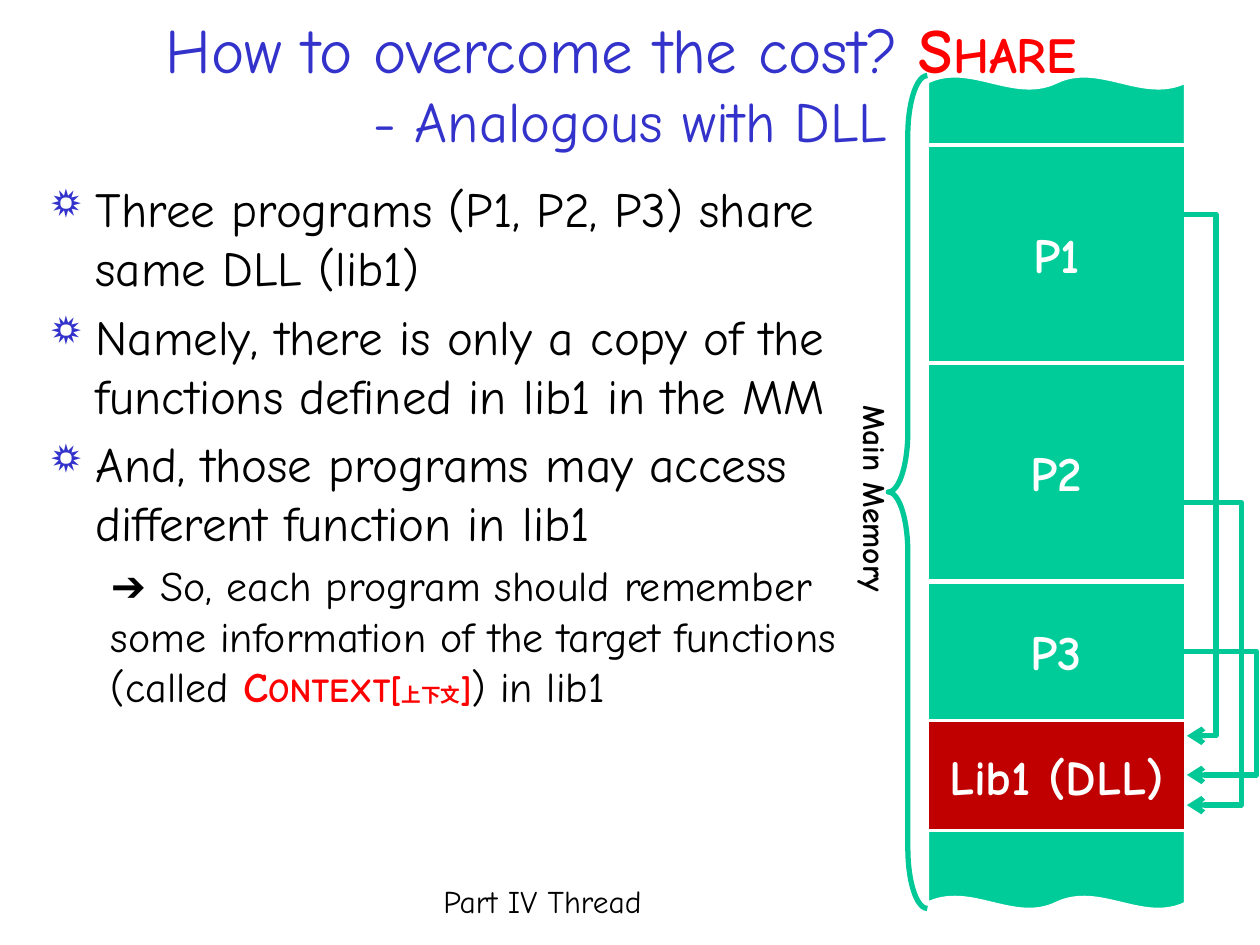
from copy import deepcopy

from lxml import etree
from pptx import Presentation
from pptx import util as u
from pptx.dml.color import RGBColor
from pptx.enum import shapes, text
from pptx.oxml.ns import qn

FONT = "Comic Neue"
BLUE, RED, BLACK, WHITE = "3333CC", "FF0000", "000000", "FFFFFF"
GREEN, LINE_GREEN, DARK_RED = "00CC99", "00C896", "C00000"

# Runs are (text, size, colour, emphasised)
TITLE = [
    ("How to overcome the cost? ", 36, BLUE, False),
    ("Share \n", 36, RED, True),
    ("- Analogous with DLL", 32.4, BLUE, False),
]
POINTS = [
    "Three programs (P1, P2, P3) share same DLL (lib1)",
    "Namely, there is only a copy of the functions defined in lib1 in the MM",
    "And, those programs may access different function in lib1",
]
CONCLUSION = [
    ("➔ So, each program should remember some information of the target functions (called ", 24, BLACK, False),
    ("Context[", 24, RED, True),
    ("上下文", 14, RED, True),
    ("]", 24, RED, True),
    (") in lib1", 24, BLACK, False),
]
WAVE, RECTANGLE = shapes.MSO_SHAPE.DOUBLE_WAVE, shapes.MSO_SHAPE.RECTANGLE
MEMORY_LEFT, MEMORY_WIDTH = 7.36, 2.05
MEMORY = [
    ("P3", RECTANGLE, 4.62, 1.1, GREEN),
    ("P2", RECTANGLE, 2.88, 1.73, GREEN),
    ("", WAVE, 0.6, 0.79, GREEN),
    ("P1", RECTANGLE, 1.15, 1.73, GREEN),
    ("", WAVE, 6.43, 0.79, GREEN),
    ("Lib1 (DLL)", RECTANGLE, 5.72, 0.87, DARK_RED),
]
CALL_LEFT, CALL_WIDTH = 9.4, 0.02
CALLS = [(1.7, 5.84, 9.65), (3.99, 6.39, 9.85), (5.17, 6.15, 9.97)]


def color(value):
    return RGBColor.from_string(value)


def inches(*values):
    return [u.Inches(value) for value in values]


def place(shape, *box):
    shape.left, shape.top, shape.width, shape.height = inches(*box)


def style(run, size, fill, bold=False):
    run.font.name, run.font.size, run.font.bold = FONT, u.Pt(size), bold
    run.font.color.rgb = color(fill)


def write_runs(paragraph, runs):
    for content, size, fill, emphasised in runs:
        run = paragraph.add_run()
        run.text = content.rstrip("\n")
        style(run, size, fill, emphasised)
        if emphasised:
            run._r.rPr.set("cap", "small")
        if content.endswith("\n"):
            paragraph.add_line_break()
            paragraph._p[-1].append(deepcopy(run._r.rPr))


def set_bullet(paragraph, left, indent, character=None):
    properties = paragraph._p.get_or_add_pPr()
    properties.set("marL", str(u.Inches(left)))
    properties.set("indent", str(u.Inches(indent)))
    if character is None:
        etree.SubElement(properties, qn("a:buNone"))
        return
    bullet_color = etree.SubElement(properties, qn("a:buClr"))
    etree.SubElement(bullet_color, qn("a:srgbClr"), val=BLUE)
    etree.SubElement(properties, qn("a:buSzPct"), val="85000")
    etree.SubElement(properties, qn("a:buFont"), typeface="Wingdings")
    etree.SubElement(properties, qn("a:buChar"), char=character)


def add_label(slide, content, box, bold=False):
    label = slide.shapes.add_textbox(*inches(*box))
    label.text_frame.text = content
    style(label.text_frame.paragraphs[0].runs[0], 18, BLACK, bold)
    return label


def add_title(slide):
    title = slide.shapes.title
    place(title, 0, 0.29, 10, 0.72)
    frame = title.text_frame
    frame.word_wrap, frame.auto_size = True, text.MSO_AUTO_SIZE.NONE
    frame.vertical_anchor = text.MSO_ANCHOR.MIDDLE
    frame.paragraphs[0].alignment = text.PP_ALIGN.CENTER
    write_runs(frame.paragraphs[0], TITLE)


def add_body(slide):
    body = slide.placeholders[1]
    place(body, 0.28, 1.37, 6.54, 5.61)
    frame = body.text_frame
    frame.word_wrap, frame.auto_size = True, text.MSO_AUTO_SIZE.NONE
    for index, point in enumerate(POINTS):
        paragraph = frame.add_paragraph() if index else frame.paragraphs[0]
        set_bullet(paragraph, 0.38, -0.38, "❒")
        paragraph.space_before = u.Pt(5.6 if index else 0)
        write_runs(paragraph, [(point, 28, BLACK, False)])
    paragraph = frame.add_paragraph()
    paragraph.level = 1
    set_bullet(paragraph, 0.5, 0)
    paragraph.space_before = u.Pt(4.8)
    write_runs(paragraph, CONCLUSION)


def add_memory(slide):
    for name, preset, top, height, fill in MEMORY:
        block = slide.shapes.add_shape(preset, *inches(MEMORY_LEFT, top, MEMORY_WIDTH, height))
        block.shadow.inherit = False
        block.fill.solid()
        block.fill.fore_color.rgb = color(fill)
        block.line.color.rgb, block.line.width = color(WHITE), u.Pt(2)
        if name:
            block.text_frame.text = name
            block.text_frame.vertical_anchor = text.MSO_ANCHOR.MIDDLE
            paragraph = block.text_frame.paragraphs[0]
            paragraph.alignment = text.PP_ALIGN.CENTER
            style(paragraph.runs[0], 28, WHITE, True)


def add_brace(slide):
    brace = slide.shapes.add_shape(shapes.MSO_SHAPE.LEFT_BRACE, *inches(7.05, 0.6, 0.31, 6.61))
    brace.shadow.inherit = False
    brace.fill.background()
    brace.line.color.rgb, brace.line.width = color(LINE_GREEN), u.Pt(3)
    brace.adjustments[0] = 1.54
    label = add_label(slide, "Main Memory", (6.65, 3.12, 0.5, 1.6), True)
    label.text_frame.word_wrap = False
    label.text_frame.auto_size = text.MSO_AUTO_SIZE.SHAPE_TO_FIT_TEXT
    label.text_frame._txBody.bodyPr.set("vert", "eaVert")


def add_calls(slide):
    for start, end, turn in CALLS:
        call = slide.shapes.add_connector(
            shapes.MSO_CONNECTOR.ELBOW, *inches(CALL_LEFT, start, CALL_LEFT + CALL_WIDTH, end))
        call.line.color.rgb, call.line.width = color(LINE_GREEN), u.Pt(3)
        etree.SubElement(call.line._get_or_add_ln(), qn("a:tailEnd"), type="arrow")
        properties = call._element.spPr
        etree.SubElement(properties, qn("a:effectLst"))
        guides = properties.find(qn("a:prstGeom")).get_or_add_avLst()
        bend = round((turn - CALL_LEFT) / CALL_WIDTH * 100000)
        etree.SubElement(guides, qn("a:gd"), name="adj1", fmla=f"val {bend}")


def main():
    """Build the slide on sharing a DLL between programs."""
    presentation = Presentation()
    presentation.slide_width, presentation.slide_height = inches(10, 7.5)
    slide = presentation.slides.add_slide(presentation.slide_layouts[1])
    add_title(slide)
    add_body(slide)
    add_label(slide, "Part IV Thread", (3.42, 6.95, 3.38, 0.4))
    add_memory(slide)
    add_brace(slide)
    add_calls(slide)
    presentation.save("out.pptx")


if __name__ == "__main__":
    main()
